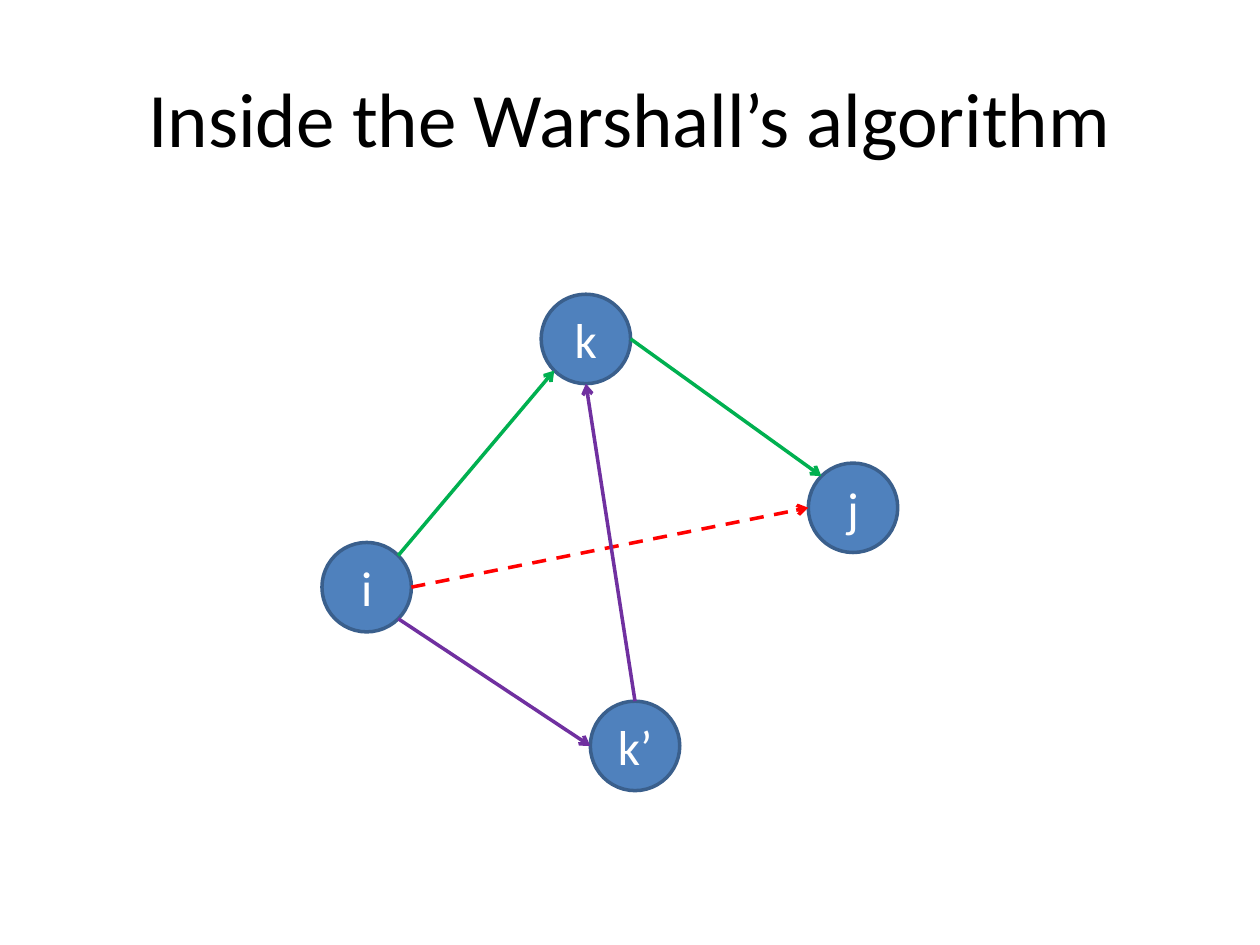
from math import cos, radians, sin

from lxml.etree import SubElement
from pptx import Presentation
from pptx.dml.color import RGBColor
from pptx.enum.dml import MSO_LINE
from pptx.enum.shapes import MSO_CONNECTOR, MSO_SHAPE
from pptx.enum.text import MSO_ANCHOR, PP_ALIGN
from pptx.oxml.ns import qn
from pptx.util import Inches, Pt


def paint(color_format, hex_color):
    color_format.rgb = RGBColor.from_string(hex_color)


def write_centered(box, text, size, hex_color):
    frame = box.text_frame
    frame.word_wrap = True
    frame.vertical_anchor = MSO_ANCHOR.MIDDLE
    frame.text = text
    paragraph = frame.paragraphs[0]
    paragraph.alignment = PP_ALIGN.CENTER
    font = paragraph.runs[0].font
    font.name, font.size = "Calibri", Pt(size)
    paint(font.color, hex_color)


deck = Presentation()
deck.slide_width, deck.slide_height = Inches(10), Inches(7.5)
width, height = deck.slide_width, deck.slide_height
slide = deck.slides.add_slide(deck.slide_layouts[6])

title = slide.shapes.add_textbox(
    int(width * 0.05), int(height * 0.04), int(width * 0.9), Inches(1.25))
write_centered(title, "Inside the Warshall’s algorithm", 44, "000000")

# Vertices of the graph, by centre
diameter = Inches(0.71)
radius = diameter / 2
centers = {
    "i": (Inches(2.91), Inches(4.66)),
    "j": (Inches(6.77), Inches(4.03)),
    "k": (Inches(4.65), Inches(2.69)),
    "k’": (Inches(5.04), Inches(5.92)),
}
for label, (x, y) in centers.items():
    vertex = slide.shapes.add_shape(
        MSO_SHAPE.OVAL, int(x - radius), int(y - radius), diameter, diameter)
    vertex.shadow.inherit = False
    vertex.fill.solid()
    paint(vertex.fill.fore_color, "4F81BD")
    paint(vertex.line.color, "3A5F8C")
    vertex.line.width = Pt(2)
    write_centered(vertex, label, 28, "FFFFFF")

# Edges: each end is a vertex and an angle on its rim, clockwise from the right
edges = [
    (("i", -45), ("k", 135), "00B050", None),
    (("k", 0), ("j", -135), "00B050", None),
    (("i", 0), ("j", 180), "FF0000", MSO_LINE.DASH),
    (("k’", -90), ("k", 90), "7030A0", None),
    (("i", 45), ("k’", 180), "7030A0", None),
]
for start, end, color, dash in edges:
    points = []
    for label, angle in (start, end):
        x, y = centers[label]
        points += [int(x + radius * cos(radians(angle))),
                   int(y + radius * sin(radians(angle)))]
    edge = slide.shapes.add_connector(MSO_CONNECTOR.STRAIGHT, *points)
    paint(edge.line.color, color)
    edge.line.width = Pt(2)
    if dash:
        edge.line.dash_style = dash
    SubElement(edge.line._get_or_add_ln(), qn("a:tailEnd"), type="arrow")
    SubElement(edge._element.spPr, qn("a:effectLst"))

deck.save("out.pptx")
